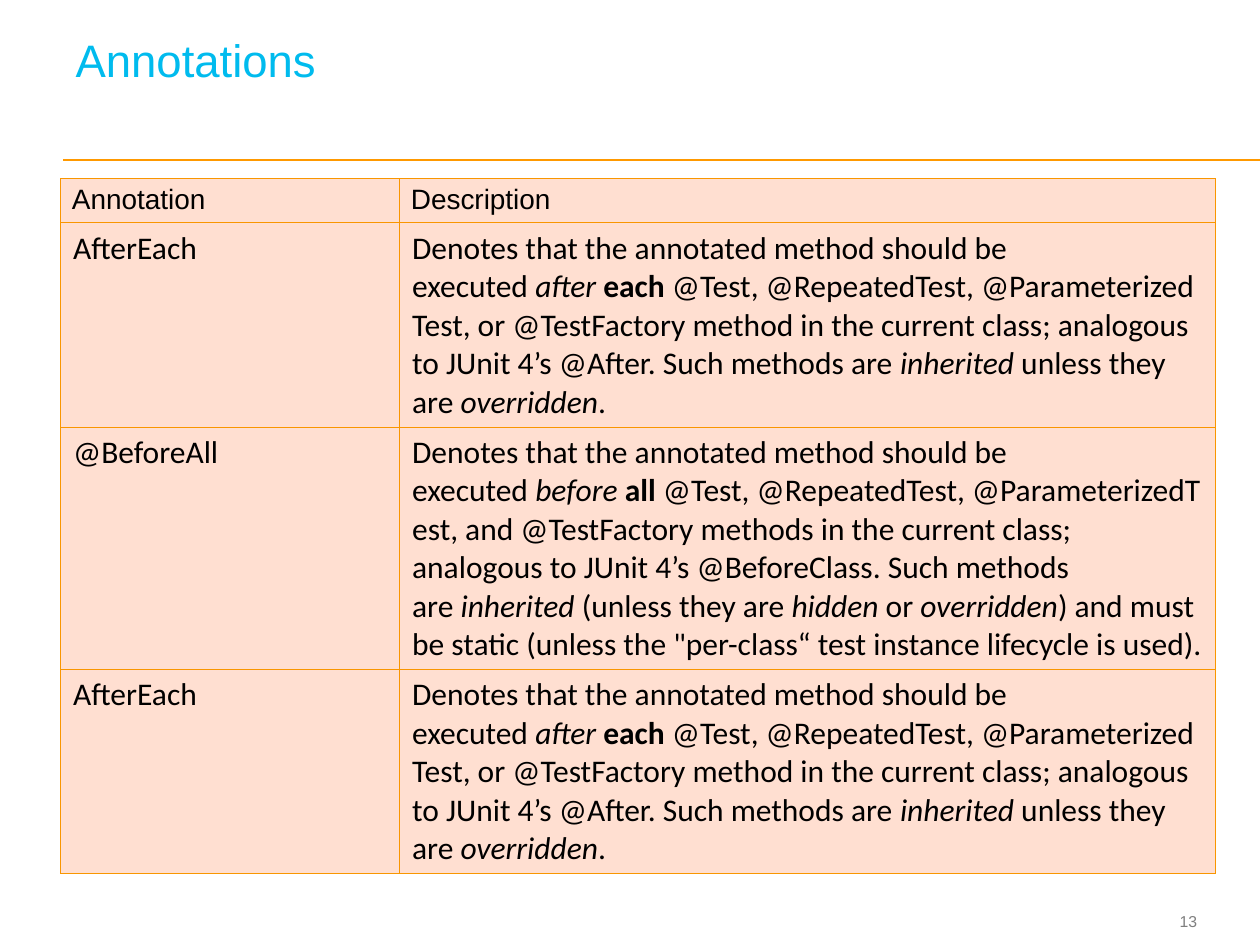
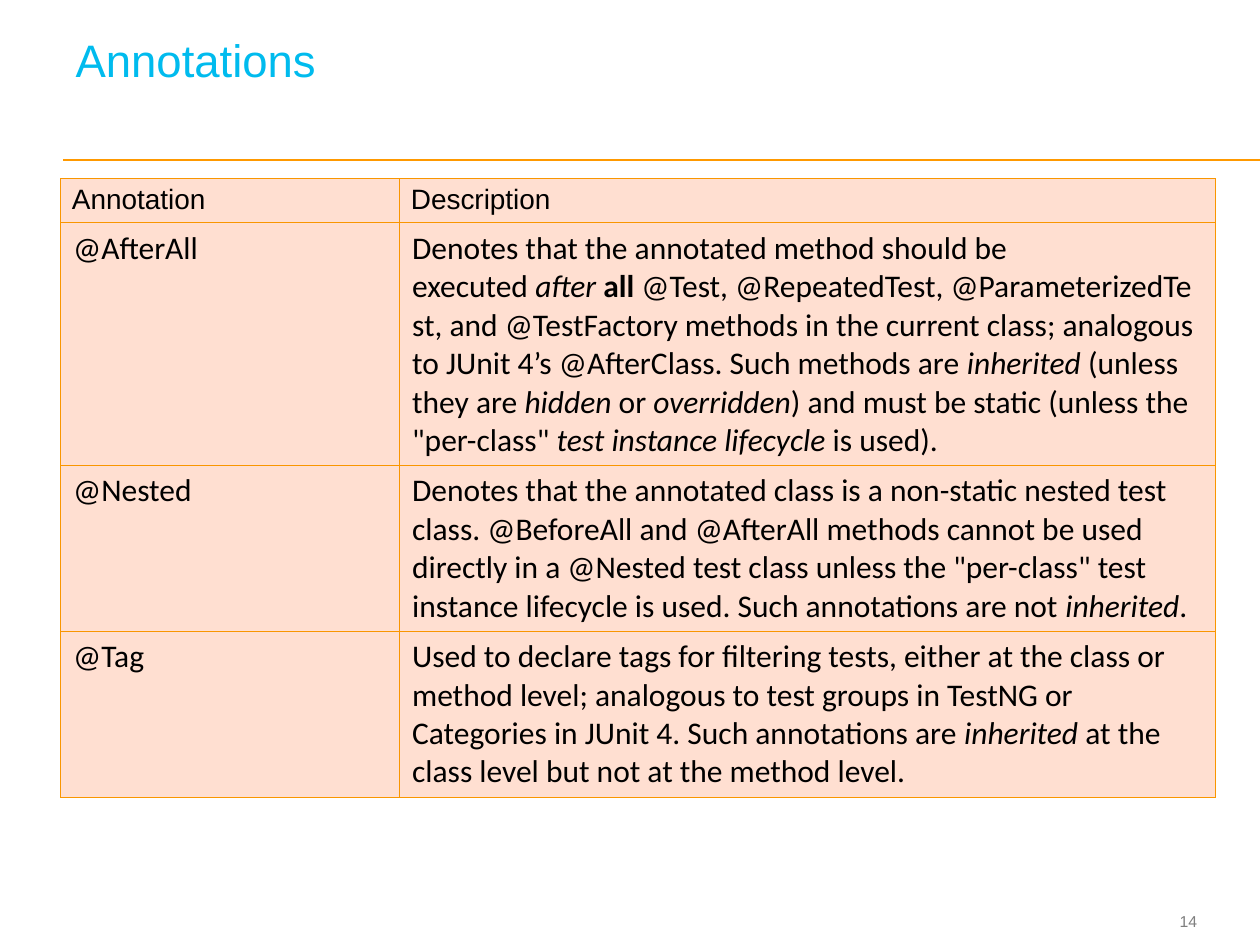
from lxml import etree
from pptx import Presentation
from pptx.dml.color import RGBColor
from pptx.enum.shapes import MSO_CONNECTOR
from pptx.enum.text import MSO_ANCHOR, MSO_AUTO_SIZE, PP_ALIGN
from pptx.oxml import parse_xml
from pptx.oxml.ns import nsdecls, qn
from pptx.util import Pt

CYAN = RGBColor(0x00, 0xBB, 0xEE)
ORANGE = RGBColor(0xFF, 0x99, 0x00)
BORDER = RGBColor(0xF9, 0x96, 0x00)
PEACH = RGBColor(0xFF, 0xDF, 0xD1)
GRAY = RGBColor(0x7F, 0x7F, 0x7F)
BLACK = RGBColor(0x00, 0x00, 0x00)

TITLE_FONT = {"name": "Arial", "size": Pt(26), "color": CYAN}
NUMBER_FONT = {"name": "Arial", "size": Pt(9), "color": GRAY}
HEADER_FONT = {"name": "Arial", "size": Pt(16), "color": BLACK}
BODY_FONT = {"name": "Calibri", "size": Pt(18), "color": BLACK}

HEADER_MARGINS = {"margin_left": Pt(6.5), "margin_right": Pt(6.5),
                  "margin_top": Pt(3), "margin_bottom": Pt(3)}
NO_MARGINS = dict.fromkeys(HEADER_MARGINS, 0)
COLUMN_WIDTHS = (193.7, 466.5)
HEADER_HEIGHT = 25.2
LINE_HEIGHT = 21.9
CELL_PADDING = 7.2

# In descriptions "|" separates runs, "i:" and "b:" mark italic and bold,
# and "~" stands for a no-break space.
NO_BREAK_SPACE = chr(160)
EXECUTED = "Denotes that the annotated method should be executed~|"
TESTS = "|~@Test,~@RepeatedTest,~@ParameterizedTest, "
STATIC_RULE = ("|i:inherited|~(unless they are~|i:hidden|~or~|i:overridden|"
               ") and must be~static~(unless the ")
AFTER_EACH = ("AfterEach", 5, EXECUTED + "i:after~|b:each" + TESTS +
              "or~@TestFactory~method in the current class; analogous to "
              "JUnit 4’s~@After. Such methods are~|i:inherited|"
              "~unless they are~|i:overridden|.")
BEFORE_ALL = ("@BeforeAll", 6, EXECUTED + "i:before~|b:all" + TESTS +
              "and~@TestFactory~methods in the current class; analogous to "
              "JUnit 4’s~@BeforeClass. Such methods are~" + STATIC_RULE +
              '"per-class“ test instance lifecycle~is used).')
AFTER_ALL = ("@AfterAll", 6, EXECUTED + "i:after~|b:all" + TESTS +
             "and~@TestFactory~methods in the current class; analogous to "
             "JUnit 4’s~@AfterClass. Such methods are~" + STATIC_RULE +
             '"per-class"~|i:test instance lifecycle|~is used).')
NESTED = ("@Nested", 4,
          "Denotes that the annotated class is a non-static~nested test class."
          "~@BeforeAll~and~@AfterAll~methods cannot be used directly in a"
          '~@Nested~test class unless the "per-class"~test instance lifecycle'
          "~is used. Such annotations are not~|i:inherited|.")
TAG = ("@Tag", 4,
       "Used to declare~tags for filtering tests, either at the class or "
       "method level; analogous to test groups in TestNG or Categories in "
       "JUnit 4. Such annotations are~|i:inherited|"
       "~at the class level but not at the method level.")

SLIDES = {13: (AFTER_EACH, BEFORE_ALL, AFTER_EACH),
          14: (AFTER_ALL, NESTED, TAG)}


def add_runs(paragraph, marked_text, font_format):
    """Add the marked text as runs, italic or bold where marked."""
    for part in marked_text.split("|"):
        mark, text = (part[0], part[2:]) if part[:2] in ("i:", "b:") else ("", part)
        run = paragraph.add_run()
        run.text = text.replace("~", NO_BREAK_SPACE)
        run.font.name = font_format["name"]
        run.font.size = font_format["size"]
        run.font.color.rgb = font_format["color"]
        run.font.italic = mark == "i"
        run.font.bold = mark == "b"


def fill_cell(cell, marked_text, font_format):
    """Write the text and give the cell its borders and fill."""
    add_runs(cell.text_frame.paragraphs[0], marked_text, font_format)
    properties = cell._tc.get_or_add_tcPr()
    for side in ("lnL", "lnR", "lnT", "lnB"):
        properties.append(parse_xml(
            f'<a:{side} {nsdecls("a")} w="{Pt(0.75)}"><a:solidFill>'
            f'<a:srgbClr val="{BORDER}"/></a:solidFill></a:{side}>'))
    cell.fill.solid()
    cell.fill.fore_color.rgb = PEACH


prs = Presentation()
prs.slide_width, prs.slide_height = Pt(720), Pt(540)

for number, annotations in SLIDES.items():
    slide = prs.slides.add_slide(prs.slide_layouts[5])

    rule = slide.shapes.add_connector(
        MSO_CONNECTOR.STRAIGHT, Pt(36), Pt(91.4), Pt(720), Pt(91.4))
    rule.line.color.rgb = ORANGE
    rule.line.width = Pt(1)
    etree.SubElement(rule._element.spPr, qn("a:effectLst"))

    page_number = slide.shapes.add_textbox(Pt(641.5), Pt(517), Pt(42.5), Pt(19.4))
    number_frame = page_number.text_frame
    for key, value in {**NO_MARGINS, "word_wrap": True,
                       "vertical_anchor": MSO_ANCHOR.MIDDLE}.items():
        setattr(number_frame, key, value)
    number_frame.paragraphs[0].alignment = PP_ALIGN.RIGHT
    add_runs(number_frame.paragraphs[0], str(number), NUMBER_FONT)

    title = slide.shapes.title
    for key, value in {"left": Pt(36), "top": Pt(13.7),
                       "width": Pt(645.8), "height": Pt(61.9)}.items():
        setattr(title, key, value)
    for key, value in {**NO_MARGINS, "margin_left": Pt(7.2), "margin_top": Pt(10),
                       "vertical_anchor": MSO_ANCHOR.TOP,
                       "auto_size": MSO_AUTO_SIZE.NONE}.items():
        setattr(title.text_frame, key, value)
    heading = title.text_frame.paragraphs[0]
    heading.alignment = PP_ALIGN.LEFT
    heading.line_spacing = Pt(26)
    add_runs(heading, "Annotations", TITLE_FONT)

    row_heights = [HEADER_HEIGHT] + [
        lines * LINE_HEIGHT + CELL_PADDING for _, lines, _ in annotations]
    table = slide.shapes.add_table(
        len(row_heights), len(COLUMN_WIDTHS), Pt(34.6), Pt(102.2),
        Pt(sum(COLUMN_WIDTHS)), Pt(sum(row_heights))).table
    table.first_row = table.horz_banding = False
    for column, width in zip(table.columns, COLUMN_WIDTHS):
        column.width = Pt(width)
    for row, height in zip(table.rows, row_heights):
        row.height = Pt(height)

    for cell, label in zip(table.rows[0].cells, ("Annotation", "Description")):
        fill_cell(cell, label, HEADER_FONT)
        for key, value in HEADER_MARGINS.items():
            setattr(cell, key, value)
    for row_index, (annotation, _, description) in enumerate(annotations, 1):
        fill_cell(table.cell(row_index, 0), annotation, BODY_FONT)
        fill_cell(table.cell(row_index, 1), description, BODY_FONT)

prs.save("out.pptx")
